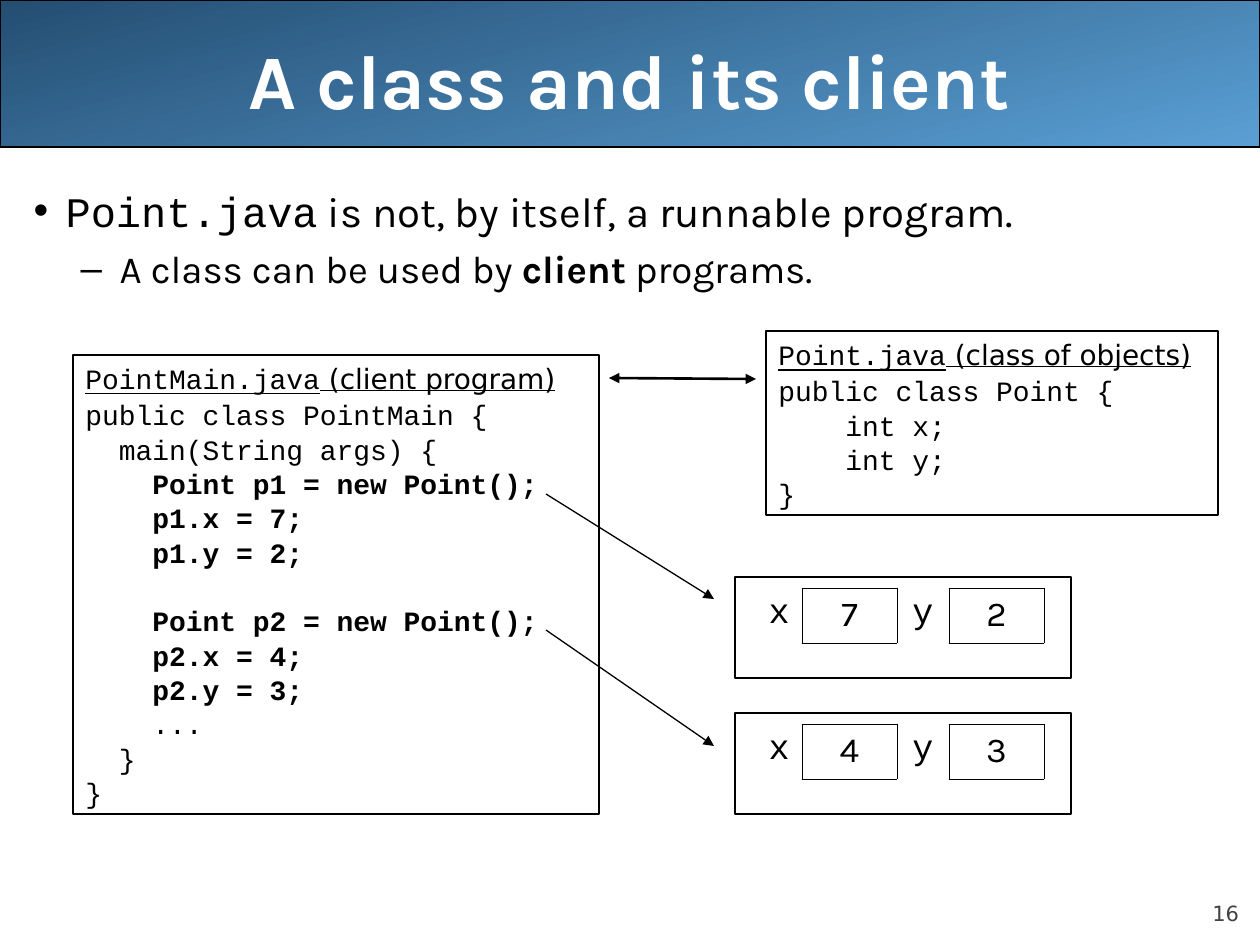
from typing import NamedTuple

from lxml.etree import SubElement
from pptx import Presentation
from pptx.dml.color import RGBColor
from pptx.enum.shapes import MSO_CONNECTOR, MSO_SHAPE
from pptx.enum.text import MSO_ANCHOR, MSO_AUTO_SIZE, PP_ALIGN
from pptx.oxml.ns import qn
from pptx.util import Emu, Pt

PX_PER_INCH = 126
BLACK = RGBColor(0x00, 0x00, 0x00)
WHITE = RGBColor(0xFF, 0xFF, 0xFF)
GRAY = RGBColor(0x42, 0x42, 0x42)
DARK_BLUE = RGBColor(0x24, 0x4E, 0x72)
LIGHT_BLUE = RGBColor(0x5A, 0x9F, 0xD4)
TEXT_FONT, CODE_FONT, LABEL_FONT = "Karla", "Courier New", "DejaVu Sans"
FIELD_COLUMNS = (46, 95, 52, 95)


class Box(NamedTuple):
    left: int
    top: int
    width: int
    height: int


class Span(NamedTuple):
    text: str
    font: str
    bold: bool = False
    underline: bool = False


class CodeLine(NamedTuple):
    text: str
    bold: bool = False
    space_before: float = 10


class Listing(NamedTuple):
    box: Box
    file_name: str
    role: str
    lines: tuple[CodeLine, ...]


class PointObject(NamedTuple):
    top: int
    x: int
    y: int


class Arrow(NamedTuple):
    start: tuple[int, int]
    end: tuple[int, int]
    weight: float = 0.75
    both_ends: bool = False


LISTINGS = (
    Listing(Box(73, 355, 526, 459), "PointMain.java", " (client program)", (
        CodeLine("public class PointMain {"),
        CodeLine("  main(String args) {"),
        CodeLine("    Point p1 = new Point();", True),
        CodeLine("    p1.x = 7;", True),
        CodeLine("    p1.y = 2;", True),
        CodeLine("    Point p2 = new Point();", True, 29.7),
        CodeLine("    p2.x = 4;", True),
        CodeLine("    p2.y = 3;", True),
        CodeLine("    ..."),
        CodeLine("  }"),
        CodeLine("}"),
    )),
    Listing(Box(766, 331, 452, 184), "Point.java", " (class of objects)", (
        CodeLine("public class Point {"),
        CodeLine("    int x;"),
        CodeLine("    int y;"),
        CodeLine("}"),
    )),
)
POINT_OBJECTS = (PointObject(577, 7, 2), PointObject(713, 4, 3))
ARROWS = (
    Arrow((609, 378), (756, 379), 1.5, both_ends=True),
    Arrow((546, 494), (714, 599)),
    Arrow((546, 630), (714, 746)),
)


def px(value: int) -> Emu:
    return Emu(round(value * 914400 / PX_PER_INCH))


def place(shape, box: Box) -> None:
    shape.left, shape.top, shape.width, shape.height = map(px, box)


def add_span(paragraph, span: Span, size: float, color: RGBColor = BLACK) -> None:
    run = paragraph.add_run()
    run.text = span.text
    font = run.font
    font.name, font.size, font.bold = span.font, Pt(size), span.bold
    font.underline = span.underline
    font.color.rgb = color


def add_outline(slide, box: Box, weight: float):
    shape = slide.shapes.add_shape(MSO_SHAPE.RECTANGLE, *map(px, box))
    shape.shadow.inherit = False
    shape.fill.background()
    shape.line.color.rgb = BLACK
    shape.line.width = Pt(weight)
    return shape


def add_banner(slide) -> None:
    """Draw the gradient band behind the title placeholder."""
    banner = add_outline(slide, Box(0, 0, 1260, 147), 0.75)
    banner.fill.gradient()
    banner.fill.gradient_angle = 360 - 75
    for stop, color, position in zip(banner.fill.gradient_stops, (DARK_BLUE, LIGHT_BLUE), (0, 1)):
        stop.color.rgb = color
        stop.position = position
    slide.shapes._spTree.insert(2, banner._element)


def fill_title(title) -> None:
    place(title, Box(63, 0, 1134, 157))
    frame = title.text_frame
    frame.auto_size = MSO_AUTO_SIZE.NONE
    frame.vertical_anchor = MSO_ANCHOR.MIDDLE
    paragraph = frame.paragraphs[0]
    paragraph.alignment = PP_ALIGN.CENTER
    add_span(paragraph, Span("A class and its client", TEXT_FONT, bold=True), 44, WHITE)


def fill_body(body) -> None:
    place(body, Box(21, 179, 1239, 714))
    frame = body.text_frame
    frame.auto_size = MSO_AUTO_SIZE.NONE
    statement, detail = frame.paragraphs[0], frame.add_paragraph()
    detail.level = 1
    for paragraph, margin, hanging in ((statement, 32, 32), (detail, 86, 39)):
        properties = paragraph._p.get_or_add_pPr()
        properties.set("marL", str(px(margin)))
        properties.set("indent", str(-px(hanging)))
    statement.space_before = Pt(0)
    detail.space_before = Pt(5.5)
    add_span(statement, Span("Point.java", CODE_FONT), 24)
    add_span(statement, Span(" is not, by itself, a runnable program.", TEXT_FONT), 24)
    add_span(detail, Span("A class can be used by ", TEXT_FONT), 22)
    add_span(detail, Span("client", TEXT_FONT, bold=True), 22)
    add_span(detail, Span(" programs.", TEXT_FONT), 22)


def add_listing(slide, listing: Listing) -> None:
    frame = add_outline(slide, listing.box, 1.5).text_frame
    frame.word_wrap = True
    frame.vertical_anchor = MSO_ANCHOR.TOP
    heading = frame.paragraphs[0]
    heading.alignment = PP_ALIGN.LEFT
    add_span(heading, Span(listing.file_name, CODE_FONT, underline=True), 16)
    add_span(heading, Span(listing.role, LABEL_FONT, underline=True), 16)
    for line in listing.lines:
        paragraph = frame.add_paragraph()
        paragraph.alignment = PP_ALIGN.LEFT
        paragraph.line_spacing = 0.5
        paragraph.space_before = Pt(line.space_before)
        add_span(paragraph, Span(line.text, CODE_FONT, line.bold), 16)


def set_borders(cell, visible_sides: str) -> None:
    properties = cell._tc.get_or_add_tcPr()
    for index, side in enumerate("LRTB"):
        border = SubElement(properties, qn(f"a:ln{side}"), w=str(Pt(0.45)))
        properties.insert(index, border)
        if side in visible_sides:
            fill = SubElement(border, qn("a:solidFill"))
            SubElement(fill, qn("a:srgbClr"), val=str(BLACK))
        else:
            SubElement(border, qn("a:noFill"))


def add_point_object(slide, point: PointObject) -> None:
    add_outline(slide, Box(735, point.top, 336, 101), 0.75)
    box = Box(756, point.top + 11, sum(FIELD_COLUMNS), 55)
    table = slide.shapes.add_table(1, len(FIELD_COLUMNS), *map(px, box)).table
    table.first_row = table.horz_banding = False
    fields = (("x", CODE_FONT, "R"), (str(point.x), TEXT_FONT, "LRTB"),
              ("y", CODE_FONT, "LR"), (str(point.y), TEXT_FONT, "LRTB"))
    for index, (text, font, sides) in enumerate(fields):
        table.columns[index].width = px(FIELD_COLUMNS[index])
        cell = table.cell(0, index)
        cell.fill.background()
        set_borders(cell, sides)
        paragraph = cell.text_frame.paragraphs[0]
        paragraph.alignment = PP_ALIGN.CENTER
        add_span(paragraph, Span(text, font), 20)


def add_arrow(slide, arrow: Arrow) -> None:
    connector = slide.shapes.add_connector(
        MSO_CONNECTOR.STRAIGHT, *map(px, arrow.start + arrow.end))
    connector.line.color.rgb = BLACK
    connector.line.width = Pt(arrow.weight)
    line = connector.line._get_or_add_ln()
    for end in ("headEnd", "tailEnd") if arrow.both_ends else ("tailEnd",):
        SubElement(line, qn(f"a:{end}"), type="triangle")
    SubElement(connector._element.spPr, qn("a:effectLst"))


def add_slide_number(slide) -> None:
    frame = slide.shapes.add_textbox(*map(px, Box(1134, 876, 105, 50))).text_frame
    frame.word_wrap = True
    frame.vertical_anchor = MSO_ANCHOR.BOTTOM
    frame.margin_left = frame.margin_top = frame.margin_right = frame.margin_bottom = 0
    frame.paragraphs[0].alignment = PP_ALIGN.RIGHT
    add_span(frame.paragraphs[0], Span("16", LABEL_FONT), 12, GRAY)


def main() -> None:
    presentation = Presentation()
    presentation.slide_width, presentation.slide_height = px(1260), px(945)
    slide = presentation.slides.add_slide(presentation.slide_layouts[1])
    add_banner(slide)
    add_slide_number(slide)
    fill_title(slide.shapes.title)
    fill_body(slide.placeholders[1])
    for listing in LISTINGS:
        add_listing(slide, listing)
    for point in POINT_OBJECTS:
        add_point_object(slide, point)
    for arrow in ARROWS:
        add_arrow(slide, arrow)
    presentation.save("out.pptx")


if __name__ == "__main__":
    main()
